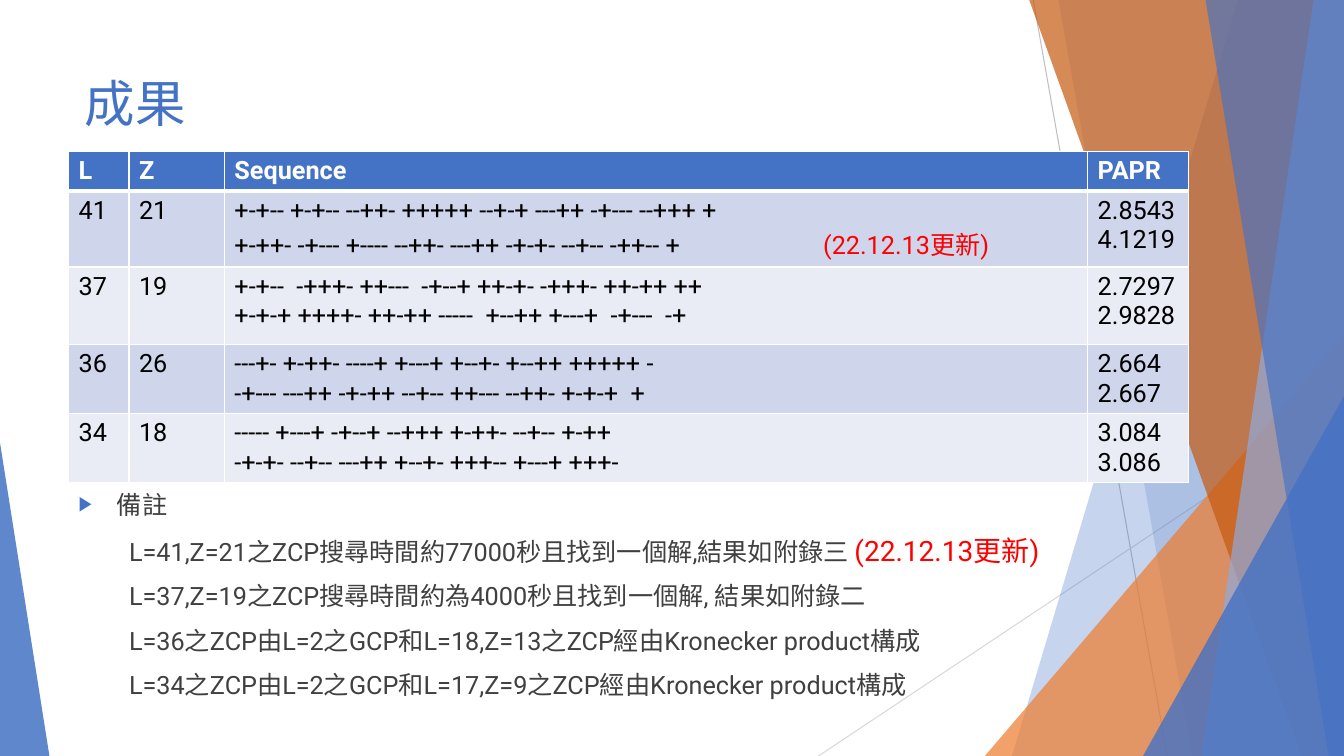
from lxml.etree import SubElement
from pptx import Presentation
from pptx.dml.color import RGBColor
from pptx.enum.shapes import MSO_CONNECTOR, MSO_SHAPE
from pptx.enum.text import MSO_ANCHOR, MSO_AUTO_SIZE, PP_ALIGN
from pptx.oxml import parse_xml
from pptx.oxml.ns import nsdecls, qn
from pptx.util import Inches, Pt

BLUE = RGBColor(0x44, 0x72, 0xC4)
PALE_BLUE = RGBColor(0x8F, 0xAA, 0xDC)
ORANGE = RGBColor(0xED, 0x7D, 0x31)
RUST = RGBColor(0xC5, 0x5A, 0x11)
GREY = RGBColor(0xBF, 0xBF, 0xBF)
LIGHT_GREY = RGBColor(0xD9, 0xD9, 0xD9)
DARK = RGBColor(0x40, 0x40, 0x40)
BLACK = RGBColor(0, 0, 0)
WHITE = RGBColor(0xFF, 0xFF, 0xFF)
RED = RGBColor(0xFF, 0, 0)
ROW_FILLS = [RGBColor(0xE9, 0xEB, 0xF5), RGBColor(0xCF, 0xD5, 0xEA)]

prs = Presentation()
prs.slide_width, prs.slide_height = Inches(13.33), Inches(7.5)
s = prs.slides.add_slide(prs.slide_layouts[1])
title, body = s.placeholders


def share(x, y):
    return round(prs.slide_width * x / 100), round(prs.slide_height * y / 100)


def add_run(p, text, size, color, bold=False):
    r = p.add_run()
    r.text = text
    r.font.name = "Roboto"
    r.font.size = Pt(size)
    r.font.bold = bold
    r.font.color.rgb = color


for start, end, color in [
    ((76.88, 0), (86.85, 100), GREY),
    ((100, 53.73), (60.9, 100), LIGHT_GREY),
]:
    line = s.shapes.add_connector(MSO_CONNECTOR.STRAIGHT, *share(*start), *share(*end))
    line.line.color.rgb = color
    line.line.width = Pt(0.75)
    SubElement(line.element.spPr, qn("a:effectLst"))

facets = [
    ("band", (92.1, 75.3), BLUE, 30),
    ("band", (78.75, 88.73), BLUE, 20),
    ("triangle", (73.28, 44.4, 26.72, 1), ORANGE, 72),
    ("band", (76.58, 96.83), RUST, 70),
    ("band", (97.73, 89.4), PALE_BLUE, 70),
    ("band", (89.7, 98.85), BLUE, 65),
    ("triangle", (85.05, 52.4, 14.95, 1), BLUE, 80),
    ("triangle", (0, 58.53, 3.68, 0), BLUE, 85),
]
for kind, place, color, opacity in facets:
    if kind == "band":
        top, bottom = place
        fb = s.shapes.build_freeform(*share(top, 0))
        fb.add_line_segments([share(100, 0), share(100, 100), share(bottom, 100)])
        sp = fb.convert_to_shape()
    else:
        left, top, width, apex = place
        sp = s.shapes.add_shape(
            MSO_SHAPE.ISOSCELES_TRIANGLE, *share(left, top), *share(width, 100 - top))
        sp.adjustments[0] = apex
    sp.shadow.inherit = False
    sp.line.fill.background()
    sp.fill.solid()
    sp.fill.fore_color.rgb = color
    clr = sp.element.spPr.find(qn("a:solidFill")).find(qn("a:srgbClr"))
    SubElement(clr, qn("a:alpha"), val=str(opacity * 1000))

for ph, corner, size in [
    (title, (5.55, 8.93), (70.5, 19.2)),
    (body, (5.1, 64), (73.2, 32)),
]:
    s.shapes.element.append(ph.element)
    ph.left, ph.top = share(*corner)
    ph.width, ph.height = share(*size)
    ph.text_frame.word_wrap = True
    ph.text_frame.auto_size = MSO_AUTO_SIZE.NONE
    ph.text_frame.vertical_anchor = MSO_ANCHOR.TOP

p = title.text_frame.paragraphs[0]
p.alignment = PP_ALIGN.LEFT
add_run(p, "成果", 36, BLUE)

UPDATE = "(22.12.13更新)"
rows = [
    (["L"], ["Z"], ["Sequence"], ["PAPR"]),
    (["41"], ["21"],
     ["+-+-- +-+-- --++- +++++ --+-+ ---++ -+--- --+++ +",
      "+-++- -+--- +---- --++- ---++ -+-+- --+-- -++-- +"],
     ["2.8543", "4.1219"]),
    (["37"], ["19"],
     ["+-+--  -+++- ++---  -+--+ ++-+- -+++- ++-++ ++",
      "+-+-+ ++++- ++-++ -----  +--++ +---+  -+---  -+"],
     ["2.7297", "2.9828"]),
    (["36"], ["26"],
     ["---+- +-++- ----+ +---+ +--+- +--++ +++++ -",
      "-+--- ---++ -+-++ --+-- ++--- --++- +-+-+  +"],
     ["2.664", "2.667"]),
    (["34"], ["18"],
     ["----- +---+ -+--+ --+++ +-++- --+-- +-++",
      "-+-+- --+-- ---++ +--+- +++-- +---+ +++-"],
     ["3.084", "3.086"]),
]
col_shares = [4.5, 7.1, 64.23, 7.5]
row_shares = [5.2, 10.05, 10.2, 9.13, 9.13]
tbl = s.shapes.add_table(
    len(rows), len(col_shares), *share(5.1, 20),
    *share(sum(col_shares), sum(row_shares))).table
for col, width in zip(tbl.columns, col_shares):
    col.width = share(width, 0)[0]
for i, (row, height) in enumerate(zip(rows, row_shares)):
    tbl.rows[i].height = share(0, height)[1]
    for j, lines in enumerate(row):
        cell = tbl.cell(i, j)
        cell.fill.solid()
        cell.fill.fore_color.rgb = ROW_FILLS[i % 2] if i else BLUE
        tcPr = cell._tc.get_or_add_tcPr()
        for k, side in enumerate("LRTB"):
            heavy = (i, side) in [(0, "B"), (1, "T")]
            tcPr.insert(k, parse_xml(
                f'<a:ln{side} {nsdecls("a")} w="{Pt(3 if heavy else 1)}"><a:solidFill>'
                f'<a:srgbClr val="{WHITE}"/></a:solidFill></a:ln{side}>'))
        tf = cell.text_frame
        for n, text in enumerate(lines):
            p = tf.add_paragraph() if n else tf.paragraphs[0]
            add_run(p, text, 18, BLACK if i else WHITE, bold=i == 0)

p = tbl.cell(1, 2).text_frame.paragraphs[1]
tabs = SubElement(p._p.get_or_add_pPr(), qn("a:tabLst"))
SubElement(tabs, qn("a:tab"), pos=str(share(43.8, 0)[0]), algn="l")
add_run(p, "\t", 18, BLACK)
add_run(p, UPDATE, 18, RED)

notes = [
    "備註",
    "L=41,Z=21之ZCP搜尋時間約77000秒且找到一個解,結果如附錄三 ",
    "L=37,Z=19之ZCP搜尋時間約為4000秒且找到一個解, 結果如附錄二",
    "L=36之ZCP由L=2之GCP和L=18,Z=13之ZCP經由Kronecker product構成",
    "L=34之ZCP由L=2之GCP和L=17,Z=9之ZCP經由Kronecker product構成",
]
tf = body.text_frame
for n, text in enumerate(notes):
    p = tf.add_paragraph() if n else tf.paragraphs[0]
    pPr = p._p.get_or_add_pPr()
    if n:
        p.level = 1
        pPr.set("marL", str(Inches(0.5)))
        pPr.set("indent", "0")
        SubElement(pPr, qn("a:buNone"))
    else:
        pPr.set("marL", str(Inches(0.38)))
        pPr.set("indent", str(-Inches(0.38)))
        SubElement(SubElement(pPr, qn("a:buClr")), qn("a:srgbClr"), val=str(BLUE))
        SubElement(pPr, qn("a:buSzPct"), val="80000")
        SubElement(pPr, qn("a:buChar"), char="▶")
    p.space_before = Pt(10 if n else 0)
    add_run(p, text, 18, DARK)
add_run(tf.paragraphs[1], UPDATE, 20, RED)

prs.save("out.pptx")
